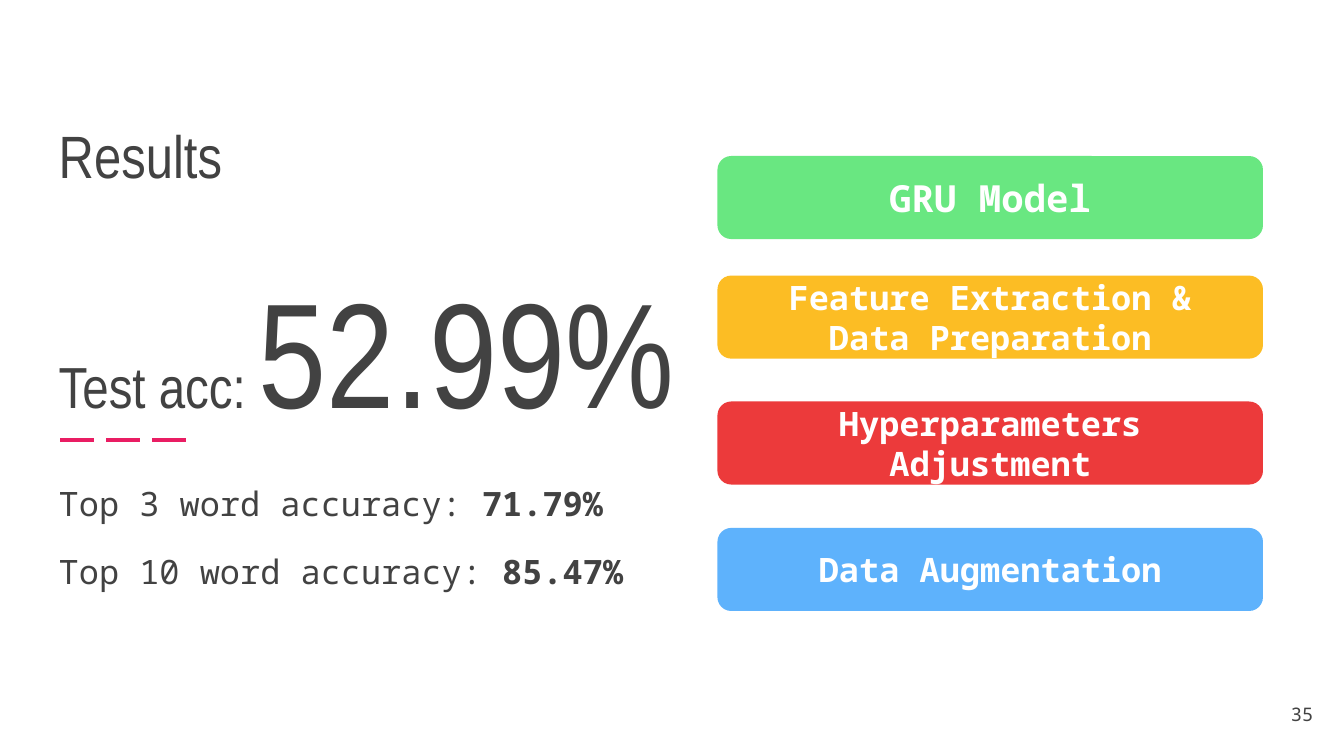
from lxml import etree
from pptx import Presentation
from pptx.dml.color import RGBColor
from pptx.enum.dml import MSO_LINE
from pptx.enum.shapes import MSO_CONNECTOR, MSO_SHAPE
from pptx.enum.text import MSO_ANCHOR, MSO_AUTO_SIZE, PP_ALIGN
from pptx.oxml.ns import qn
from pptx.util import Cm, Pt

GREY = RGBColor(0x42, 0x42, 0x42)
WHITE = RGBColor(0xFF, 0xFF, 0xFF)
PINK = RGBColor(0xE9, 0x1D, 0x63)
GREEN = RGBColor(0x69, 0xE7, 0x81)
YELLOW = RGBColor(0xFC, 0xBD, 0x24)
RED = RGBColor(0xEC, 0x3A, 0x3B)
BLUE = RGBColor(0x5E, 0xB2, 0xFC)

HEADING, BODY = "Arial Narrow", "Noto Sans Mono"
LEFT, CENTER, RIGHT = PP_ALIGN.LEFT, PP_ALIGN.CENTER, PP_ALIGN.RIGHT
TOP, MIDDLE, BOTTOM = MSO_ANCHOR.TOP, MSO_ANCHOR.MIDDLE, MSO_ANCHOR.BOTTOM
NO_FIT = MSO_AUTO_SIZE.NONE
LONG_DASH = MSO_LINE.LONG_DASH
STRAIGHT = MSO_CONNECTOR.STRAIGHT
ROUNDED = MSO_SHAPE.ROUNDED_RECTANGLE

STEPS = [  # top in cm, fill, text size, lines
    (2.95, GREEN, 20, ["GRU Model"]),
    (5.21, YELLOW, 18, ["Feature Extraction &", "Data Preparation"]),
    (7.59, RED, 18, ["Hyperparameters Adjustment"]),
    (9.98, BLUE, 18, ["Data Augmentation"]),
]


def set_all(target, values):
    for name, value in values.items():
        setattr(target, name, value)


def write(tf, paragraphs, anchor=TOP, align=LEFT, spacing=None, gap=None, **base):
    """Fill a frame; each paragraph is a list of (text, font values) runs."""
    margins = dict.fromkeys(
        ["margin_left", "margin_top", "margin_right", "margin_bottom"], Cm(0.25))
    set_all(tf, {"word_wrap": True, "auto_size": NO_FIT,
                 "vertical_anchor": anchor, **margins})
    for i, runs in enumerate(paragraphs):
        p = tf.add_paragraph() if i else tf.paragraphs[0]
        p.alignment = align
        if spacing:
            p.line_spacing = spacing
        if i and gap:
            p.space_before = p.space_after = gap
        for text, values in runs:
            r = p.add_run()
            r.text = text
            values = {"color": GREY, **base, **values}
            r.font.color.rgb = values.pop("color")
            set_all(r.font, values)


def add_text(s, box, paragraphs, **values):
    write(s.shapes.add_textbox(*map(Cm, box)).text_frame, paragraphs, **values)


def add_title(s, box, text):
    sp = s.shapes.title
    set_all(sp, dict(zip(["left", "top", "width", "height"], map(Cm, box))))
    write(sp.text_frame, [[(text, {})]], anchor=BOTTOM, name=HEADING, size=Pt(32))


def add_scores(s, left, top, width):
    """Main accuracy, dashed rule and the two further accuracies."""
    line = s.shapes.add_connector(
        STRAIGHT, Cm(left + 0.28), Cm(top + 5.24), Cm(left + 2.82), Cm(top + 5.24))
    line.line.color.rgb = PINK
    set_all(line.line, {"width": Pt(2.25), "dash_style": LONG_DASH})
    etree.SubElement(line._element.spPr, qn("a:effectLst"))

    add_text(s, (left, top, width, 5.46),
             [[("Test acc: ", {"size": Pt(31)}), ("52.99%", {"size": Pt(80)})]],
             anchor=BOTTOM, name=HEADING)
    accuracies = [("Top 3 word accuracy: ", "71.79%"),
                  ("Top 10 word accuracy: ", "85.47%")]
    add_text(s, (left, top + 5.69, width, 3.61),
             [[(label, {}), (value, {"bold": True})] for label, value in accuracies],
             spacing=1.15, gap=Pt(12), name=BODY, size=Pt(18))


def add_steps(s, left, width, height):
    for top, fill, size, lines in STEPS:
        sp = s.shapes.add_shape(ROUNDED, Cm(left), Cm(top), Cm(width), Cm(height))
        sp.shadow.inherit = False
        sp.fill.solid()
        sp.fill.fore_color.rgb = fill
        sp.line.fill.background()
        write(sp.text_frame, [[(text, {})] for text in lines], anchor=MIDDLE,
              align=CENTER, name=BODY, size=Pt(size), bold=True, color=WHITE)


def main():
    prs = Presentation()
    prs.slide_width, prs.slide_height = Cm(25.4), Cm(14.29)
    s = prs.slides.add_slide(prs.slide_layouts[5])
    add_scores(s, 0.86, 3.07, 23.67)
    add_text(s, (23.55, 12.95, 1.52, 1.09), [[("35", {})]],
             anchor=MIDDLE, align=RIGHT, name=BODY, size=Pt(10))
    add_steps(s, 13.56, 10.31, 1.57)
    add_title(s, (0.86, 1.75, 7.8, 2.11), "Results")
    prs.save("out.pptx")


if __name__ == "__main__":
    main()
